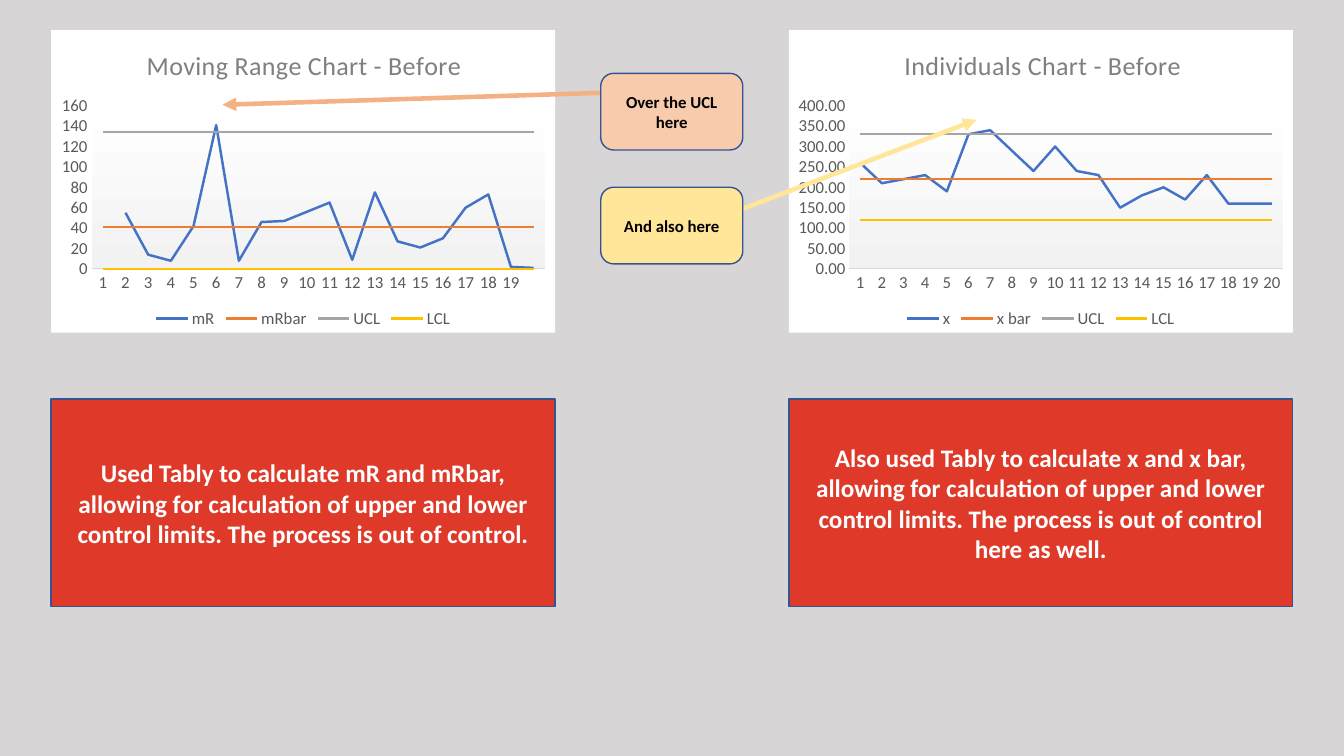
"""Build a slide comparing two control charts before a process change."""
from dataclasses import dataclass

from lxml import etree
from pptx import Presentation
from pptx.chart.chart import Chart
from pptx.chart.data import CategoryChartData
from pptx.dml.color import RGBColor
from pptx.enum.chart import XL_CHART_TYPE, XL_LEGEND_POSITION, XL_TICK_MARK
from pptx.enum.shapes import MSO_CONNECTOR, MSO_SHAPE
from pptx.enum.text import MSO_ANCHOR, PP_ALIGN
from pptx.oxml import parse_xml
from pptx.oxml.ns import nsdecls, qn
from pptx.slide import Slide
from pptx.util import Cm, Pt

LINE_CHART = XL_CHART_TYPE.LINE
LEGEND_BOTTOM = XL_LEGEND_POSITION.BOTTOM
NO_TICK = XL_TICK_MARK.NONE
STRAIGHT = MSO_CONNECTOR.STRAIGHT
RECTANGLE = MSO_SHAPE.RECTANGLE
ROUNDED = MSO_SHAPE.ROUNDED_RECTANGLE
MIDDLE = MSO_ANCHOR.MIDDLE
CENTER = PP_ALIGN.CENTER


@dataclass(frozen=True)
class Theme:
    font: str = "Calibri"
    page: str = "D7D5D5"
    panel: str = "FFFFFF"
    plot_end: str = "F2F2F2"
    title: str = "7F7F7F"
    label: str = "595959"
    axis: str = "D9D9D9"
    outline: str = "325491"
    alert: str = "DF3A29"
    light: str = "FFFFFF"
    dark: str = "000000"
    peach: str = "F8CBAD"
    peach_line: str = "F4B183"
    yellow: str = "FFE699"
    series: tuple[str, ...] = ("4472C4", "ED7D31", "A5A5A5", "FFC000")
    title_size: float = 18.6
    body_size: float = 18
    small_size: float = 12
    series_width: float = 1.75
    arrow_width: float = 3.25


@dataclass(frozen=True)
class ControlChart:
    title: str
    title_left: float
    left: float
    categories: list[str]
    names: tuple[str, str, str, str]
    values: list[float | None]
    limits: tuple[float, float, float]
    plot_left: float
    plot_width: float
    maximum: float
    step: float
    number_format: str


@dataclass(frozen=True)
class TextBox:
    text: str
    shape: MSO_SHAPE
    left: float
    top: float
    width: float
    height: float
    fill: str
    color: str
    size: float


@dataclass(frozen=True)
class Arrow:
    start: tuple[float, float]
    end: tuple[float, float]
    color: str


THEME = Theme()
LEFT, RIGHT, CALLOUT = 1.29, 19.88, 15.14
PANEL_WIDTH, CHART_TOP, CHART_HEIGHT = 12.7, 0.76, 7.62
NOTE_TOP, NOTE_HEIGHT = 10.06, 5.23
CALLOUT_WIDTH, CALLOUT_HEIGHT = 3.58, 1.93
SAMPLES = [str(number) for number in range(1, 21)]

CHARTS = (
    ControlChart(
        "Moving Range Chart - Before", 0.18, LEFT, SAMPLES[:-1] + [""],
        ("mR", "mRbar", "UCL", "LCL"),
        [None, 55, 14, 8, 42, 141, 8, 46, 47, 56, 65, 9, 75, 27, 21, 30, 60, 73, 2, 1],
        (41, 134, 0), 0.08, 0.9, 160, 20, "General"),
    ControlChart(
        "Individuals Chart - Before", 0.22, RIGHT, SAMPLES,
        ("x", "x bar", "UCL", "LCL"),
        [260, 210, 220, 230, 190, 330, 340, 290, 240, 300,
         240, 230, 150, 180, 200, 170, 230, 160, 160, 160],
        (220, 330, 120), 0.12, 0.86, 400, 50, "0.00"),
)


def note(text: str, left: float) -> TextBox:
    """Describe a red conclusion below a chart."""
    return TextBox(text, RECTANGLE, left, NOTE_TOP, PANEL_WIDTH, NOTE_HEIGHT,
                   THEME.alert, THEME.light, THEME.body_size)


def callout(text: str, top: float, fill: str) -> TextBox:
    """Describe a rounded label between the charts."""
    return TextBox(text, ROUNDED, CALLOUT, top, CALLOUT_WIDTH, CALLOUT_HEIGHT,
                   fill, THEME.dark, THEME.small_size)


NOTES = (
    note("Used Tably to calculate mR and mRbar, allowing for calculation of upper and "
         "lower control limits. The process is out of control.", LEFT),
    note("Also used Tably to calculate x and x bar, allowing for calculation of upper and "
         "lower control limits. The process is out of control here as well.", RIGHT),
)
ARROWS = (
    Arrow((CALLOUT, 2.34), (5.61, 2.64), THEME.peach_line),
    Arrow((CALLOUT + CALLOUT_WIDTH, 5.26), (24.61, 3.02), THEME.yellow),
)
CALLOUTS = (
    callout("Over the UCL here", 1.85, THEME.peach),
    callout("And also here", 4.72, THEME.yellow),
)


def rgb(value: str) -> RGBColor:
    """Turn a hex colour into an RGBColor."""
    return RGBColor.from_string(value)


def style_font(font, size: float, color: str, bold: bool = False) -> None:
    """Set face, size, colour and weight."""
    font.name, font.size, font.bold = THEME.font, Pt(size), bold
    font.color.rgb = rgb(color)


def layout(**places: float):
    """Make a manual chart layout from fractions of the chart area."""
    modes = '<c:xMode val="edge"/><c:yMode val="edge"/>'
    target = '<c:layoutTarget val="inner"/>' if "w" in places else ""
    sizes = "".join(f'<c:{key} val="{value}"/>' for key, value in places.items())
    return parse_xml(f'<c:layout {nsdecls("c")}><c:manualLayout>{target}{modes}{sizes}'
                     '</c:manualLayout></c:layout>')


def chart_fill(fill: str):
    """Make borderless chart formatting around a fill."""
    return parse_xml(f'<c:spPr {nsdecls("c", "a")}>{fill}<a:ln><a:noFill/></a:ln></c:spPr>')


def style_backgrounds(chart: Chart, item: ControlChart) -> None:
    """Fill the chart and plot areas and place the plot."""
    area = chart.element.find(qn("c:chart"))
    area.addnext(chart_fill(f'<a:solidFill><a:srgbClr val="{THEME.panel}"/></a:solidFill>'))
    plot = area.find(qn("c:plotArea"))
    stops = "".join(f'<a:gs pos="{place}"><a:srgbClr val="{color}"/></a:gs>'
                    for place, color in ((0, THEME.panel), (100000, THEME.plot_end)))
    plot.append(chart_fill(f'<a:gradFill><a:gsLst>{stops}</a:gsLst>'
                           '<a:lin ang="5400000" scaled="0"/></a:gradFill>'))
    for old in plot.findall(qn("c:layout")):
        plot.remove(old)
    plot.insert(0, layout(x=item.plot_left, y=0.25, w=item.plot_width, h=0.54))


def style_title(chart: Chart, item: ControlChart) -> None:
    """Write and place the chart title."""
    title = chart.chart_title
    span = title.text_frame.paragraphs[0].add_run()
    span.text = item.title
    style_font(span.font, THEME.title_size, THEME.title)
    span._r.get_or_add_rPr().set("spc", "20")
    for old in title._element.findall(qn("c:layout")):
        title._element.remove(old)
    title._element.find(qn("c:tx")).addnext(layout(x=item.title_left, y=0.04))
    title.include_in_layout = False


def draw_chart(page: Slide, item: ControlChart) -> None:
    """Draw one control chart with its limits."""
    data = CategoryChartData(number_format=item.number_format)
    data.categories = item.categories
    rows = [item.values] + [[limit] * len(SAMPLES) for limit in item.limits]
    for name, values in zip(item.names, rows):
        data.add_series(name, values)
    chart = page.shapes.add_chart(LINE_CHART, Cm(item.left), Cm(CHART_TOP), Cm(PANEL_WIDTH),
                                  Cm(CHART_HEIGHT), data).chart
    style_font(chart.font, THEME.small_size, THEME.label)
    style_title(chart, item)
    style_backgrounds(chart, item)
    chart.has_legend = True
    chart.legend.position, chart.legend.include_in_layout = LEGEND_BOTTOM, False
    style_font(chart.legend.font, THEME.small_size, THEME.label)
    chart.plots[0].vary_by_categories = False
    for series, color in zip(chart.plots[0].series, THEME.series):
        series.smooth = False
        series.format.line.color.rgb = rgb(color)
        series.format.line.width = Pt(THEME.series_width)
    for axis in (chart.category_axis, chart.value_axis):
        axis.has_major_gridlines = False
        axis.major_tick_mark = axis.minor_tick_mark = NO_TICK
        style_font(axis.tick_labels.font, THEME.small_size, THEME.label)
    chart.category_axis.format.line.color.rgb = rgb(THEME.axis)
    chart.category_axis.format.line.width = Pt(0.75)
    scale = chart.value_axis
    scale.format.line.fill.background()
    scale.minimum_scale, scale.maximum_scale, scale.major_unit = 0, item.maximum, item.step
    scale.tick_labels.number_format = item.number_format
    scale.tick_labels.number_format_is_linked = False


def draw_text_box(page: Slide, item: TextBox) -> None:
    """Draw a filled shape with centred bold text."""
    box = page.shapes.add_shape(item.shape, Cm(item.left), Cm(item.top),
                                Cm(item.width), Cm(item.height))
    box.shadow.inherit = False
    box.fill.solid()
    box.fill.fore_color.rgb = rgb(item.fill)
    box.line.color.rgb, box.line.width = rgb(THEME.outline), Pt(1)
    box.text_frame.word_wrap, box.text_frame.vertical_anchor = True, MIDDLE
    para = box.text_frame.paragraphs[0]
    para.alignment = CENTER
    span = para.add_run()
    span.text = item.text
    style_font(span.font, item.size, item.color, bold=True)


def draw_arrow(page: Slide, item: Arrow) -> None:
    """Draw a line with a triangular head at its end."""
    line = page.shapes.add_connector(STRAIGHT, *map(Cm, item.start + item.end))
    line.line.color.rgb, line.line.width = rgb(item.color), Pt(THEME.arrow_width)
    properties = line._element.spPr
    etree.SubElement(properties.find(qn("a:ln")), qn("a:tailEnd"), type="triangle")
    etree.SubElement(properties, qn("a:effectLst"))


def main() -> None:
    """Build and save the deck."""
    deck = Presentation()
    deck.slide_width, deck.slide_height = Cm(33.87), Cm(19.05)
    page = deck.slides.add_slide(deck.slide_layouts[6])
    page.background.fill.solid()
    page.background.fill.fore_color.rgb = rgb(THEME.page)
    for chart in CHARTS:
        draw_chart(page, chart)
    for arrow in ARROWS:
        draw_arrow(page, arrow)
    for box in NOTES + CALLOUTS:
        draw_text_box(page, box)
    deck.save("out.pptx")


if __name__ == "__main__":
    main()
